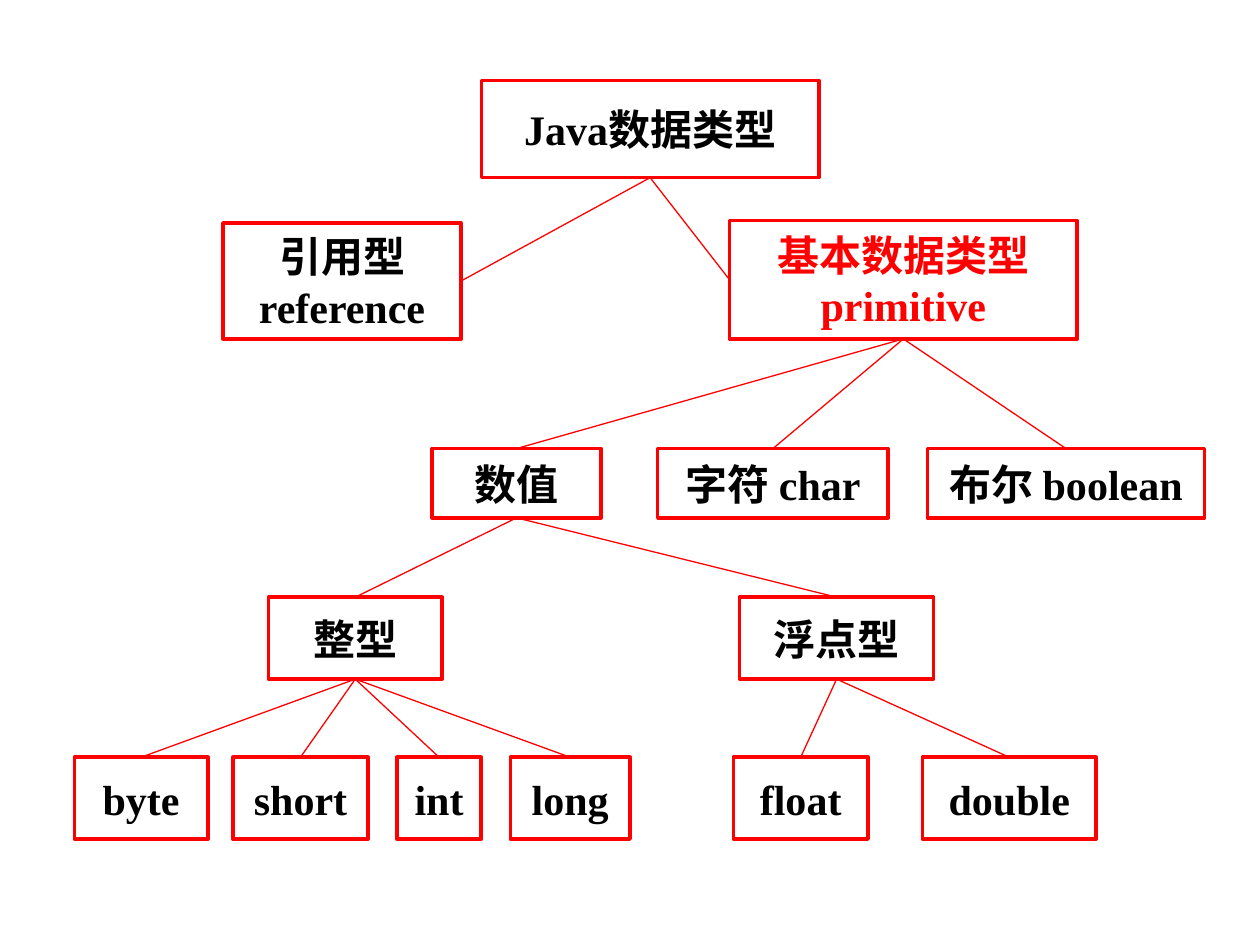
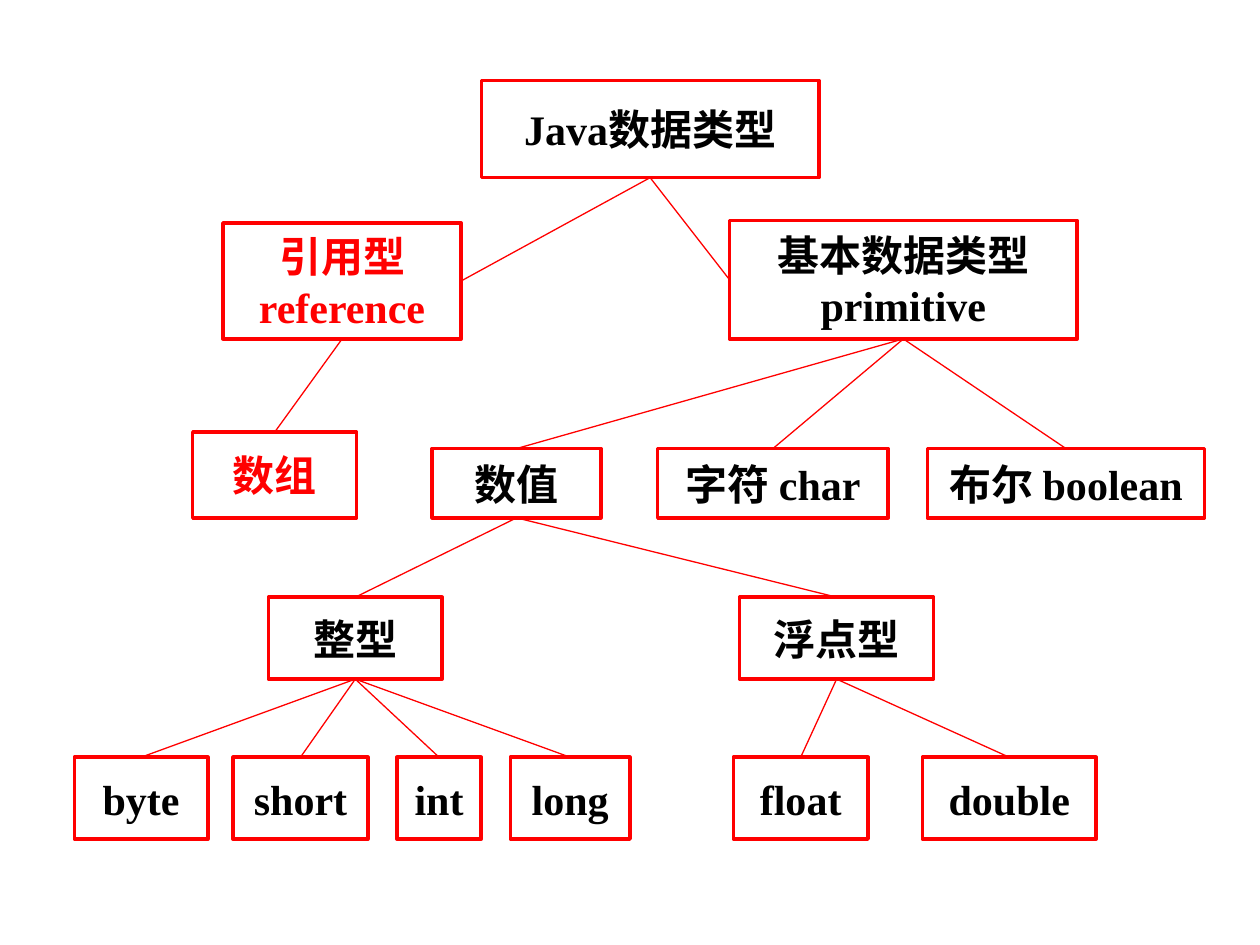
"""Draw the tree of Java data types twice, each time with another branch highlighted."""
from lxml import etree
from pptx import Presentation, util as u
from pptx.dml.color import RGBColor
from pptx.enum import shapes, text
from pptx.oxml.ns import qn

RED = RGBColor(0xFF, 0x00, 0x00)
BLACK = RGBColor(0x00, 0x00, 0x00)
WHITE = RGBColor(0xFF, 0xFF, 0xFF)
FONT = "Times New Roman"
COLUMNS, ROWS = 1000, 750
LEVEL_BOTTOMS = [141, 269, 411, 539, 666]
TOP, LEFT, BOTTOM, RIGHT = range(4)

# key: (lines, parent, level, left column, columns wide, rows high, side joined to the parent)
TYPES = {
    "root": (["Java数据类型"], None, 0, 382, 268, 77, None),
    "primitive": (["基本数据类型", "primitive"], "root", 1, 579, 276, 94, LEFT),
    "reference": (["引用型", "reference"], "root", 1, 177, 189, 92, RIGHT),
    "numeric": (["数值"], "primitive", 2, 343, 134, 55, TOP),
    "char": (["字符 char"], "primitive", 2, 522, 183, 55, TOP),
    "boolean": (["布尔 boolean"], "primitive", 2, 736, 220, 55, TOP),
    "integer": (["整型"], "numeric", 3, 213, 138, 65, TOP),
    "floating": (["浮点型"], "numeric", 3, 587, 154, 65, TOP),
    "byte": (["byte"], "integer", 4, 59, 106, 65, TOP),
    "short": (["short"], "integer", 4, 185, 107, 65, TOP),
    "int": (["int"], "integer", 4, 315, 67, 65, TOP),
    "long": (["long"], "integer", 4, 405, 95, 65, TOP),
    "float": (["float"], "floating", 4, 582, 107, 65, TOP),
    "double": (["double"], "floating", 4, 732, 138, 65, TOP),
}
ARRAY = {"array": (["数组"], "reference", 2, 153, 130, 68, TOP)}
PAGES = [
    (TYPES, {"primitive"}),
    (TYPES | ARRAY, {"reference", "array"}),
]


def add_box(page, cell, lines, level, left, width, height, color):
    top = LEVEL_BOTTOMS[level] - height
    box = page.shapes.add_shape(shapes.MSO_SHAPE.RECTANGLE,
                                *(cell * n for n in (left, top, width, height)))
    box.shadow.inherit = False
    box.fill.solid()
    box.fill.fore_color.rgb = WHITE
    box.line.color.rgb = RED
    box.line.width = u.Pt(2)
    frame = box.text_frame
    frame.word_wrap = False
    frame.vertical_anchor = text.MSO_ANCHOR.MIDDLE
    for index, line in enumerate(lines):
        para = frame.add_paragraph() if index else frame.paragraphs[0]
        para.alignment = text.PP_ALIGN.CENTER
        span = para.add_run()
        span.text = line
        span.font.name = FONT
        span.font.size = u.Pt(24)
        span.font.bold = True
        span.font.color.rgb = color
    return box


def join(page, parent, child, side):
    branch = page.shapes.add_connector(shapes.MSO_CONNECTOR.STRAIGHT, 0, 0, 0, 0)
    branch.begin_connect(parent, BOTTOM)
    branch.end_connect(child, side)
    branch.line.color.rgb = RED
    branch.line.width = u.Pt(0.75)
    etree.SubElement(branch._element.spPr, qn("a:effectLst"))


def main():
    deck = Presentation()
    deck.slide_width, deck.slide_height = u.Inches(10), u.Inches(7.5)
    cell = deck.slide_height // ROWS
    for types, highlighted in PAGES:
        page = deck.slides.add_slide(deck.slide_layouts[6])
        boxes = {}
        for key, (lines, parent, level, left, width, height, side) in types.items():
            color = RED if key in highlighted else BLACK
            boxes[key] = add_box(page, cell, lines, level, left, width, height, color)
            if parent:
                join(page, boxes[parent], boxes[key], side)
    deck.save("out.pptx")


if __name__ == "__main__":
    main()
